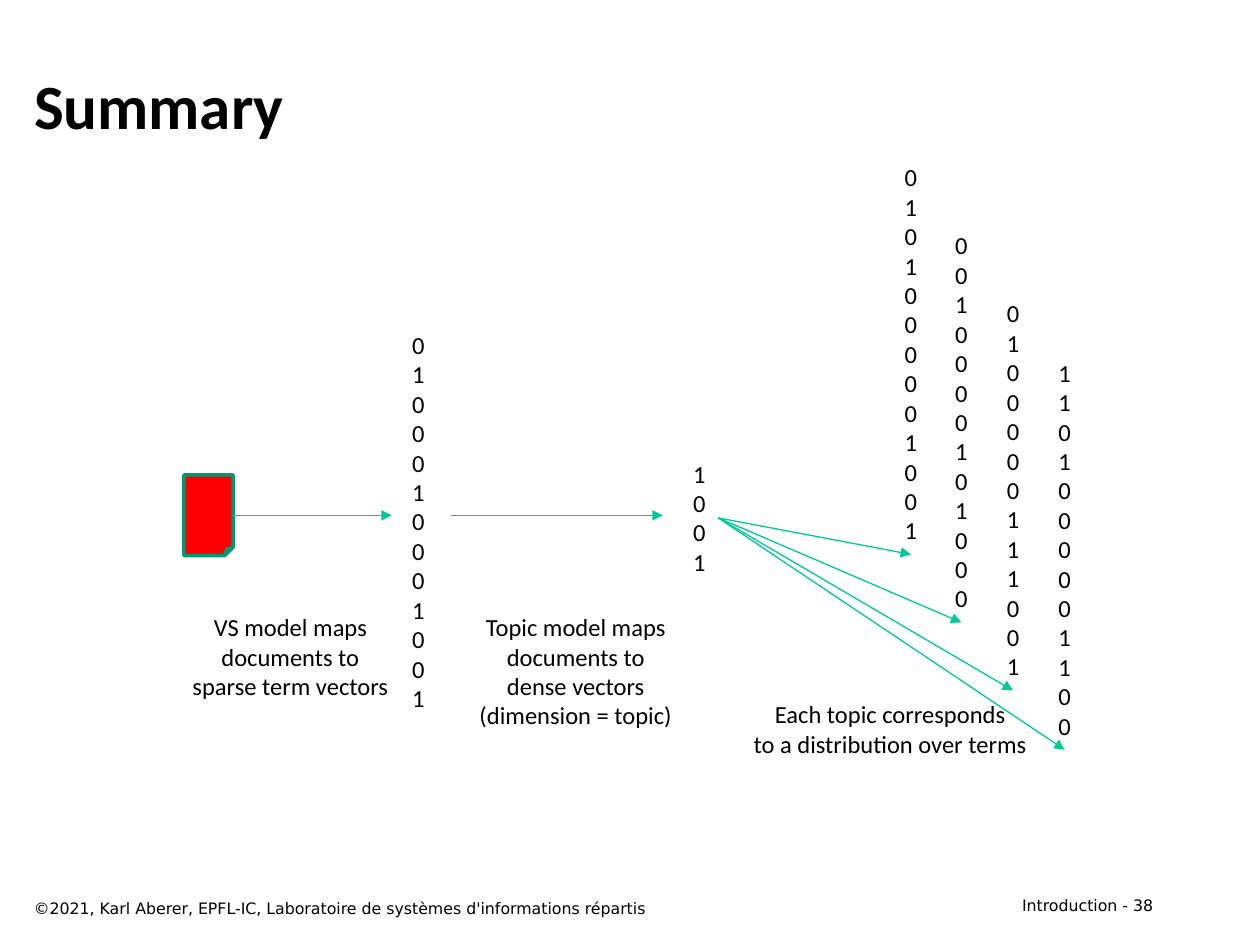
from lxml import etree
from pptx import Presentation
from pptx.dml.color import RGBColor
from pptx.enum.shapes import MSO_CONNECTOR, MSO_SHAPE
from pptx.enum.text import MSO_ANCHOR, MSO_AUTO_SIZE, PP_ALIGN
from pptx.oxml.ns import qn
from pptx.util import Pt

EMU_PER_PX = 9144  # 100 px to the inch
BLACK = RGBColor(0x00, 0x00, 0x00)
RED = RGBColor(0xFF, 0x00, 0x00)
DARK_GREEN = RGBColor(0x00, 0x97, 0x71)
GREEN = RGBColor(0x00, 0xC8, 0x96)
BODY_FONT = "Calibri"
FOOTER_FONT = "DejaVu Sans"
LEFT, CENTER, RIGHT = PP_ALIGN.LEFT, PP_ALIGN.CENTER, PP_ALIGN.RIGHT
MIDDLE = MSO_ANCHOR.MIDDLE
GROW = MSO_AUTO_SIZE.SHAPE_TO_FIT_TEXT
STRAIGHT = MSO_CONNECTOR.STRAIGHT
FOLDED_CORNER = MSO_SHAPE.FOLDED_CORNER
BOTTOM_SITE, RIGHT_SITE = 2, 3

VECTOR_WIDTH = 30
TERM_VECTOR_HEIGHT = 316
TOPIC_TERM_VECTORS = [
    (708, 124, "0101000001001"),
    (748, 178, "0010000101000"),
    (789, 232, "0100000111001"),
    (830, 279, "1101000001100"),
]


def px(*lengths):
    return [length * EMU_PER_PX for length in lengths]


def write_text(frame, paragraphs, size=14, font=BODY_FONT, bold=False, align=LEFT):
    """Fill the frame; a newline inside a paragraph becomes a line break."""
    for index, text in enumerate(paragraphs):
        paragraph = frame.add_paragraph() if index else frame.paragraphs[0]
        paragraph.text = text
        paragraph.alignment = align
        for run in paragraph.runs:
            run.font.size = Pt(size)
            run.font.name = font
            run.font.bold = bold
            run.font.color.rgb = BLACK
        for line_break in paragraph._p.findall(qn("a:br")):
            etree.SubElement(line_break, qn("a:rPr")).set("sz", str(size * 100))


def add_text(slide, box, paragraphs, wrap=False, **text_format):
    shape = slide.shapes.add_textbox(*px(*box))
    frame = shape.text_frame
    frame.word_wrap = wrap
    if not wrap:
        frame.auto_size = GROW
    write_text(frame, paragraphs, **text_format)
    return shape


def add_vector(slide, left, top, height, digits):
    return add_text(slide, (left, top, VECTOR_WIDTH, height), digits, align=CENTER)


def add_arrow(slide, start=(0, 0), end=(0, 0), source=None, target=None):
    """Draw from start, or source's right side, to end, or target's bottom."""
    arrow = slide.shapes.add_connector(STRAIGHT, *px(*start, *end))
    if source is not None:
        arrow.begin_connect(source, RIGHT_SITE)
    if target is not None:
        arrow.end_connect(target, BOTTOM_SITE)
    arrow.line.color.rgb = GREEN
    arrow.line.width = Pt(0.75)
    etree.SubElement(arrow.line._get_or_add_ln(), qn("a:tailEnd")).set("type", "triangle")
    etree.SubElement(arrow._element.spPr, qn("a:effectLst"))


def add_title(slide, box):
    title = slide.shapes.title
    title.left, title.top, title.width, title.height = px(*box)
    title.text_frame.vertical_anchor = MIDDLE
    write_text(title.text_frame, ["Summary"], size=36, bold=True)


def add_document_stage(slide, left, top):
    """Document mapped to a sparse term vector."""
    document = slide.shapes.add_shape(FOLDED_CORNER, *px(left + 4, top + 120, 39, 64))
    document.shadow.inherit = False
    document.fill.solid()
    document.fill.fore_color.rgb = RED
    document.line.color.rgb = DARK_GREEN
    document.line.width = Pt(2)
    add_vector(slide, left + 175, top, TERM_VECTOR_HEIGHT, "0100010001001")
    add_arrow(slide, end=(left + 169, top + 152), source=document)
    add_text(slide, (left, top + 224, 177, 81),
             ["VS model maps\ndocuments to", "sparse term vectors"], align=CENTER)


def add_topic_stage(slide, left, top):
    """Term vector mapped to a dense topic vector, which is returned."""
    topic_vector = add_vector(slide, left + 182, top, 104, "1001")
    add_arrow(slide, start=(left, top + 50), end=(left + 168, top + 50))
    add_text(slide, (left + 12, top + 122, 174, 104),
             ["Topic model maps\ndocuments to", "dense vectors\n(dimension = topic)"],
             align=CENTER)
    return topic_vector


def add_distribution_stage(slide, caption_box, topic_vector):
    for left, top, digits in TOPIC_TERM_VECTORS:
        term_vector = add_vector(slide, left, top, TERM_VECTOR_HEIGHT, digits)
        add_arrow(slide, source=topic_vector, target=term_vector)
    add_text(slide, caption_box,
             ["Each topic corresponds\nto a distribution over terms"], align=CENTER)


def add_footer(slide, left, top):
    footer_format = {"wrap": True, "size": 9, "font": FOOTER_FONT}
    add_text(slide, (left + 700, top, 208, 25), ["Introduction - 38"],
             align=RIGHT, **footer_format)
    add_text(slide, (left, top + 2, 642, 25),
             ["©2021, Karl Aberer, EPFL-IC, Laboratoire de systèmes d'informations répartis"],
             **footer_format)


def main():
    presentation = Presentation()
    presentation.slide_width, presentation.slide_height = px(1000, 750)
    slide = presentation.slides.add_slide(presentation.slide_layouts[5])
    add_title(slide, (17, 33, 908, 100))
    add_document_stage(slide, 142, 257)
    topic_vector = add_topic_stage(slide, 358, 359)
    add_distribution_stage(slide, (587, 550, 239, 57), topic_vector)
    add_footer(slide, 17, 706)
    presentation.save("out.pptx")


if __name__ == "__main__":
    main()
